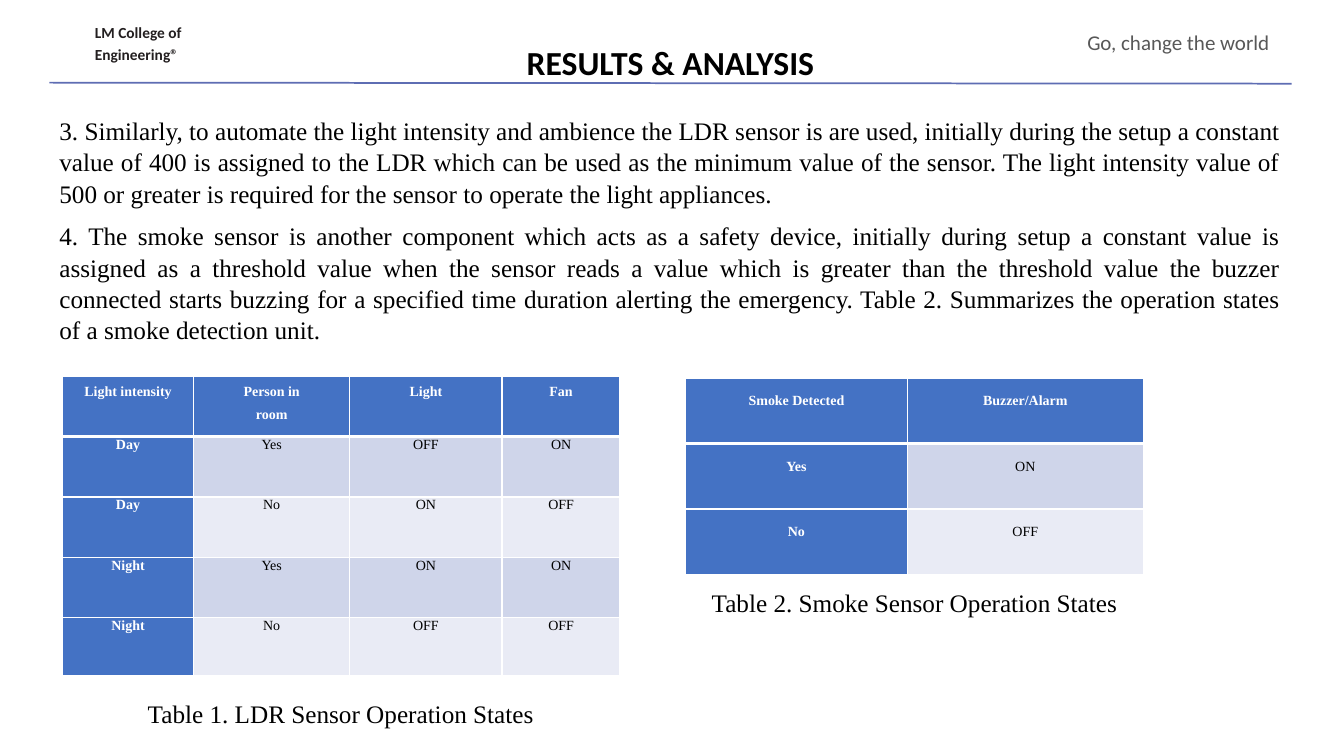
import pptx
import pptx.dml.color
import pptx.enum.shapes
import pptx.enum.text
import pptx.oxml
import pptx.oxml.ns
import pptx.util
from lxml import etree

Pt = pptx.util.Pt
Inches = pptx.util.Inches
RGB = pptx.dml.color.RGBColor.from_string
ALIGN = pptx.enum.text.PP_ALIGN
ANCHOR = pptx.enum.text.MSO_ANCHOR

theme = {
    "heading_font": "Calibri", "body_font": "Times New Roman",
    "black": "000000", "white": "FFFFFF", "college": "231F20",
    "motto": "585858", "rule": "5E6DB3", "header": "4472C4",
    "bands": ["CFD5EA", "E9EBF5"],
    "title_size": 24, "body_size": 18, "motto_size": 15,
    "college_size": 11, "cell_size": 10,
}

deck = pptx.Presentation()
deck.slide_width, deck.slide_height = Inches(13.33), Inches(7.5)
slide = deck.slides.add_slide(deck.slide_layouts[6])
col, row = deck.slide_width / 100, deck.slide_height / 100


def write(frame, lines, font, size, color, bold=False, align=ALIGN.CENTER,
          spacing=1.0, before=(0, 0)):
    frame.word_wrap = True
    frame.text = "\n".join(lines)
    for paragraph, gap in zip(frame.paragraphs, before):
        paragraph.alignment = align
        paragraph.line_spacing = spacing
        paragraph.space_before = Pt(gap)
        for run in paragraph.runs:
            run.font.name, run.font.size, run.font.bold = theme[font], Pt(theme[size]), bold
            run.font.color.rgb = RGB(theme[color])


def text_area(left, top, width, height, inset=True):
    area = slide.shapes.add_textbox(
        int(left * col), int(top * row), int(width * col), int(height * row))
    frame = area.text_frame
    if not inset:
        frame.margin_left = frame.margin_right = frame.margin_top = frame.margin_bottom = 0
    return frame


title = text_area(1.73, 5.4, 96.32, 5.73, inset=False)
title.vertical_anchor = ANCHOR.MIDDLE
write(title, ["RESULTS & ANALYSIS"], "heading_font", "title_size", "black", bold=True)

college = text_area(7.05, 2.8, 8, 5.6, inset=False)
write(college, ["LM College of", "Engineering®"], "heading_font", "college_size", "college",
      bold=True, align=ALIGN.LEFT, spacing=1.12, before=(0, 1))

motto = text_area(79, 3.87, 15.45, 4, inset=False)
write(motto, ["Go, change the world"], "heading_font", "motto_size", "motto", align=ALIGN.RIGHT)

header_rule = slide.shapes.add_connector(
    pptx.enum.shapes.MSO_CONNECTOR.STRAIGHT,
    int(3.68 * col), int(10.93 * row), int(96.1 * col), int(11.07 * row))
header_rule.line.color.rgb = RGB(theme["rule"])
header_rule.line.width = Pt(1.25)
etree.SubElement(header_rule._element.spPr, pptx.oxml.ns.qn("a:effectLst"))

findings = [
    "3. Similarly, to automate the light intensity and ambience the LDR sensor is are used, "
    "initially during the setup a constant value of 400 is assigned to the LDR which can be "
    "used as the minimum value of the sensor. The light intensity value of 500 or greater is "
    "required for the sensor to operate the light appliances.",
    "4. The smoke sensor is another component which acts as a safety device, initially during "
    "setup a constant value is assigned as a threshold value when the sensor reads a value "
    "which is greater than the threshold value the buzzer connected starts buzzing for a "
    "specified time duration alerting the emergency. Table 2. Summarizes the operation states "
    "of a smoke detection unit.",
]
write(text_area(3.68, 14.53, 92.35, 31.73), findings, "body_font", "body_size", "black",
      align=ALIGN.JUSTIFY, spacing=1.03, before=(8.4, 8.4))

state_tables = [
    {"left": 4.65, "top": 49.73, "columns": [9.75, 11.63, 11.33, 8.78],
     "rows": [8, 8, 8, 8, 7.6], "header_spacing": 1.5, "body_spacing": 1.03,
     "states": [["Light intensity", "Person in\nroom", "Light", "Fan"],
                ["Day", "Yes", "OFF", "ON"],
                ["Day", "No", "ON", "OFF"],
                ["Night", "Yes", "ON", "ON"],
                ["Night", "No", "OFF", "OFF"]]},
    {"left": 51.01, "top": 50, "columns": [16.5, 17.55],
     "rows": [8.67] * 3, "header_spacing": 2.0, "body_spacing": 2.0,
     "states": [["Smoke Detected", "Buzzer/Alarm"], ["Yes", "ON"], ["No", "OFF"]]},
]
for table in state_tables:
    grid = slide.shapes.add_table(
        len(table["rows"]), len(table["columns"]),
        int(table["left"] * col), int(table["top"] * row),
        int(sum(table["columns"]) * col), int(sum(table["rows"]) * row)).table
    for column, width in zip(grid.columns, table["columns"]):
        column.width = int(width * col)
    for r, (height, states) in enumerate(zip(table["rows"], table["states"])):
        grid.rows[r].height = int(height * row)
        for c, state in enumerate(states):
            cell = grid.cell(r, c)
            heading = r == 0 or c == 0
            cell.margin_left = cell.margin_right = Inches(0.07)
            cell.margin_top = cell.margin_bottom = 0
            write(cell.text_frame, state.split("\n"), "body_font", "cell_size",
                  "white" if heading else "black", bold=heading,
                  spacing=table["body_spacing" if r else "header_spacing"], before=(8.4, 0))
            cell.fill.solid()
            cell.fill.fore_color.rgb = RGB(theme["header"] if heading else theme["bands"][(r - 1) % 2])
            borders = cell._tc.get_or_add_tcPr()
            for position, side in enumerate("LRTB"):
                thick = (r, side) in [(0, "B"), (1, "T")]
                borders.insert(position, pptx.oxml.parse_xml(
                    f'<a:ln{side} {pptx.oxml.ns.nsdecls("a")} w="{Pt(3 if thick else 1)}">'
                    f'<a:solidFill><a:srgbClr val="{theme["white"]}"/></a:solidFill></a:ln{side}>'))

captions = [
    (4.65, 91.73, "Table 1. LDR Sensor Operation States"),
    (47.34, 77.07, "Table 2. Smoke Sensor Operation States"),
]
for left, top, caption in captions:
    write(text_area(left, top, 41.41, 5.6), [caption], "body_font", "body_size", "black")

deck.save("out.pptx")
